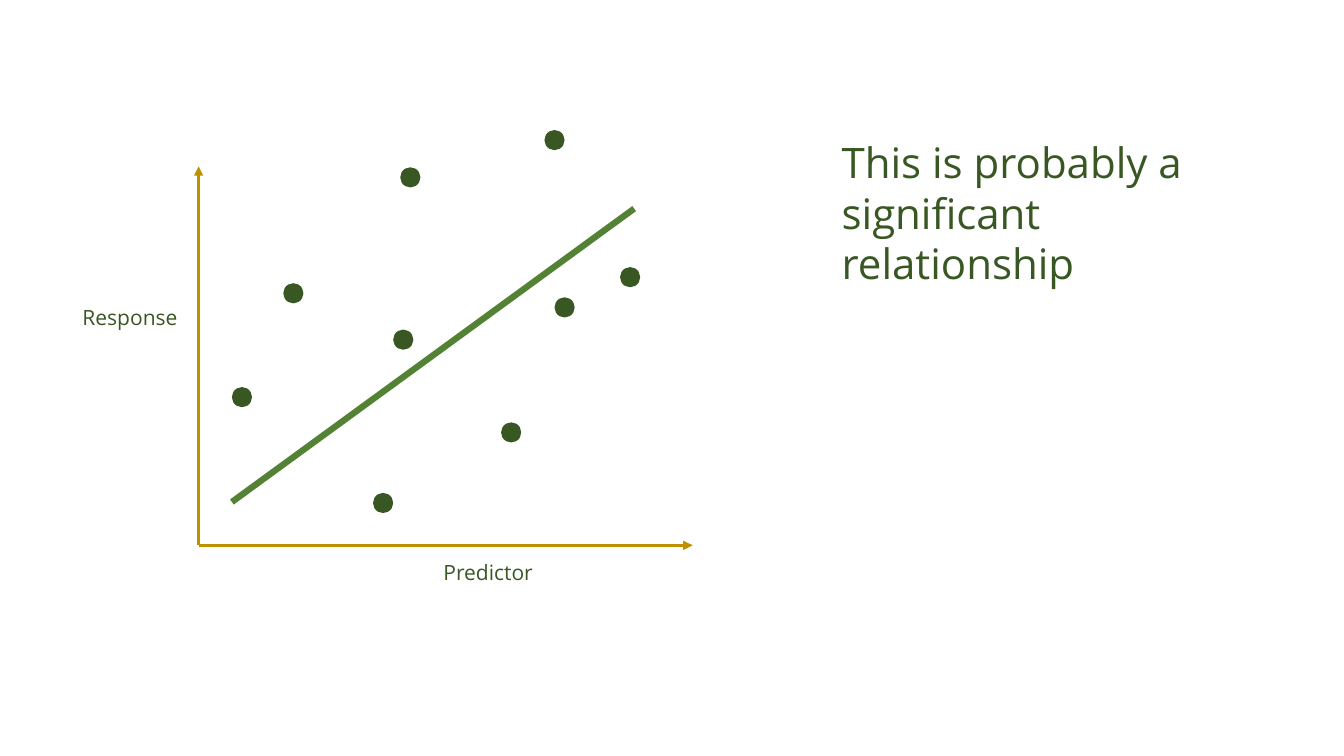
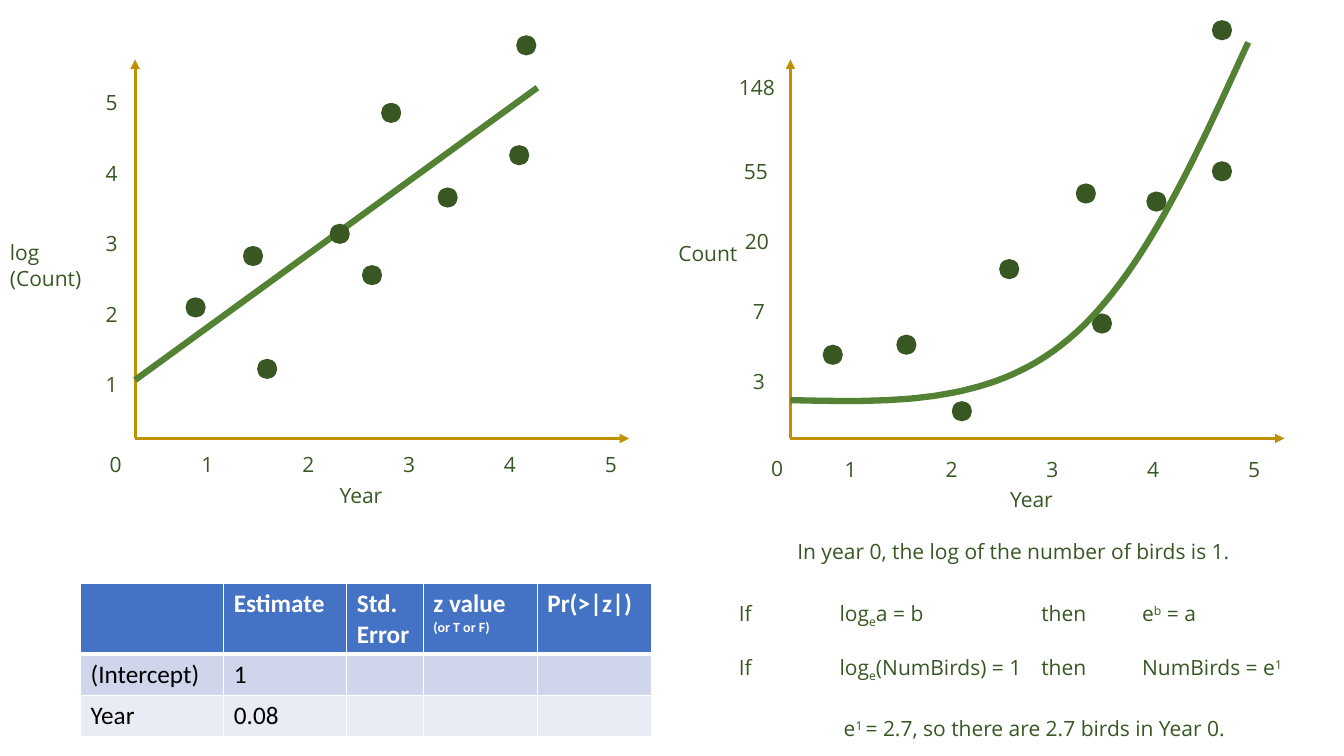
"""Build two slides on regression lines, log counts and coefficients."""
from pptx import Presentation
from pptx.dml.color import RGBColor
from pptx.enum.shapes import MSO_CONNECTOR as Link, MSO_SHAPE as Shape
from pptx.oxml.ns import qn
from pptx.util import Inches, Pt
from lxml.etree import SubElement as Sub

GREEN, LEAF, GOLD = "385723", "548235", "BF9000"
BLUE, WHITE, BLACK = "4472C4", "FFFFFF", "000000"
BANDS = ("CFD5EA", "E9EBF5")
DOT = 0.2
STEP = 0.7
GRAIN = 1000
SUB, SUP = -25, 30
BODY = {"name": "Open Sans", "size": Pt(15)}
LEAD = {"name": "Open Sans", "size": Pt(30)}
HEAD = {"name": "Calibri", "size": Pt(18), "bold": True}
CELL = {"name": "Calibri", "size": Pt(18), "bold": False}
NOTE = {"name": "Calibri", "size": Pt(10), "bold": True}


def color(value):
    """Turn a hex string into a colour."""
    return RGBColor.from_string(value)


def style(item, values):
    """Set each attribute named in a dict."""
    for key, value in values.items():
        setattr(item, key, value)


def paint(item, value):
    """Give a shape or cell a solid fill."""
    item.fill.solid()
    item.fill.fore_color.rgb = color(value)


def run(para, words, look, hue, base=0):
    """Add a run of text, raised or lowered by base percent."""
    part = para.add_run()
    part.text = words
    style(part.font, look)
    part.font.color.rgb = color(hue)
    if base:
        part._r.get_or_add_rPr().set("baseline", str(base * 1000))


def text(slide, left, top, width, height, *lines, look=BODY, gap=0, tabs=()):
    """Add a text box; each line is a string or a list of runs."""
    box = slide.shapes.add_textbox(*map(Inches, (left, top, width, height)))
    frame = box.text_frame
    frame.word_wrap = True
    for i, line in enumerate(lines):
        para = frame.add_paragraph() if i else frame.paragraphs[0]
        if i and gap:
            para.space_before = Pt(gap)
        if tabs:
            stops = Sub(para._p.get_or_add_pPr(), qn("a:tabLst"))
            for stop in tabs:
                Sub(stops, qn("a:tab"), pos=str(Inches(stop)), algn="l")
        for part in [(line,)] if isinstance(line, str) else line:
            run(para, part[0], look, GREEN, *part[1:])


def label(slide, left, top, words, width=1.26):
    """Add a one-line label."""
    text(slide, left, top, width, 0.35, words)


def line(slide, start, end, hue, weight, arrow=False):
    """Draw a straight line, with an arrowhead if asked."""
    link = slide.shapes.add_connector(
        Link.STRAIGHT, *map(Inches, (*start, *end)))
    link.line.color.rgb = color(hue)
    link.line.width = Pt(weight)
    if arrow:
        Sub(link.line._get_or_add_ln(), qn("a:tailEnd"), type="triangle")
    Sub(link._element.spPr, qn("a:effectLst"))


def axes(slide, left, base):
    """Draw the two arrows of a plot from its corner."""
    for end in ((left + 4.9, base), (left, base - 3.76)):
        line(slide, (left, base), end, GOLD, 2.25, True)


def trend(slide, start, end):
    """Draw a fitted straight line."""
    line(slide, start, end, LEAF, 4.5)


def dots(slide, spots):
    """Draw a data dot at each left and top."""
    for left, top in spots:
        dot = slide.shapes.add_shape(
            Shape.OVAL, *map(Inches, (left, top, DOT, DOT)))
        dot.shadow.inherit = False
        paint(dot, GREEN)
        dot.line.fill.background()


def bezier(knots, count=30):
    """List points along a cubic curve, in fine units of an inch."""
    points = []
    for i in range(count + 1):
        t = i / count
        parts = ((1 - t) ** 3, 3 * t * (1 - t) ** 2,
                 3 * t * t * (1 - t), t ** 3)
        points.append([GRAIN * sum(w * k[axis] for w, k in zip(parts, knots))
                       for axis in (0, 1)])
    return points


def curve(slide, knots):
    """Draw a fitted curve through joined cubic parts."""
    points = []
    for i in range(0, len(knots) - 1, 3):
        points += bezier(knots[i:i + 4])[bool(i):]
    pen = slide.shapes.build_freeform(*points[0], scale=Inches(1) / GRAIN)
    pen.add_line_segments(points[1:], close=False)
    bend = pen.convert_to_shape()
    bend.shadow.inherit = False
    bend.fill.background()
    bend.line.color.rgb = color(LEAF)
    bend.line.width = Pt(4.5)


def years(slide, left, top):
    """Add the year ticks, one inch apart."""
    text(slide, left, top, 5.33, 0.35, "\t".join("12345"), tabs=(1, 2, 3, 4))


def rule(cell):
    """Draw a thick white border below a cell."""
    props = cell._tc.get_or_add_tcPr()
    edge = Sub(props, qn("a:lnB"), w=str(Pt(3)))
    Sub(Sub(edge, qn("a:solidFill")), qn("a:srgbClr"), val=WHITE)
    props.insert(0, edge)


def table(slide, left, top, cols, tall, rows):
    """Add the table of coefficients with a banded body."""
    grid = slide.shapes.add_table(
        len(rows), len(cols), Inches(left), Inches(top),
        Inches(sum(cols)), Inches(sum(tall))).table
    for col, width in zip(grid.columns, cols):
        col.width = Inches(width)
    for i, row in enumerate(rows):
        grid.rows[i].height = Inches(tall[i])
        look, hue = (CELL, BLACK) if i else (HEAD, WHITE)
        for j, words in enumerate(row):
            cell = grid.cell(i, j)
            paint(cell, BANDS[(i - 1) % 2] if i else BLUE)
            if not i:
                rule(cell)
            if words:
                run(cell.text_frame.paragraphs[0], words, look, hue)
    run(grid.cell(0, 3).text_frame.paragraphs[0], "(or T or F)", NOTE, WHITE)


def relate(slide):
    """Fill the slide on a significant relationship."""
    axes(slide, 1.97, 5.41)
    label(slide, 4.3, 5.5, "Predictor")
    label(slide, 0.72, 2.97, "Response")
    trend(slide, (2.3, 4.98), (6.29, 2.07))
    dots(slide, [(2.3, 3.84), (2.81, 2.81), (3.7, 4.89), (3.97, 1.66),
                 (3.9, 3.27), (5.5, 2.95), (4.97, 4.19), (5.4, 1.29),
                 (6.15, 2.65)])
    text(slide, 8.25, 1.31, 4.2, 1.62,
         "This is probably a significant relationship", look=LEAD)


def logs(slide):
    """Draw the plot of log counts."""
    axes(slide, 1.34, 4.35)
    label(slide, 3.27, 4.74, "Year")
    text(slide, 0, 2.33, 1.26, 0.61, "log", "(Count)")
    trend(slide, (1.34, 3.77), (5.33, 0.87))
    dots(slide, [(2.55, 3.56), (3.78, 1.02), (3.27, 2.22), (4.34, 1.86),
                 (3.59, 2.63), (5.12, 0.35), (5.05, 1.44), (1.84, 2.95),
                 (2.41, 2.44)])
    label(slide, 0.99, 4.43, "0")
    for i in range(5):
        label(slide, 0.95, 3.64 - i * STEP, str(i + 1))
    years(slide, 1.9, 4.43)


def counts(slide):
    """Draw the plot of raw counts."""
    axes(slide, 7.84, 4.35)
    label(slide, 9.92, 4.78, "Year")
    label(slide, 6.63, 2.34, "Count")
    dots(slide, [(8.16, 3.42), (8.89, 3.32), (9.44, 3.98), (10.67, 1.82),
                 (9.91, 2.57), (11.37, 1.9), (10.83, 3.11), (12.02, 0.2),
                 (12.02, 1.6)])
    curve(slide, [(7.84, 3.97), (8.81, 3.99), (9.77, 4.02), (10.53, 3.42),
                  (11.29, 2.83), (11.83, 1.62), (12.38, 0.42)])
    label(slide, 7.55, 4.47, "0")
    for left, top, words in ((7.37, 3.61, "3"), (7.37, 2.91, "7"),
                             (7.29, 2.22, "20"), (7.28, 1.52, "55"),
                             (7.23, 0.69, "148")):
        label(slide, left, top, words)
    years(slide, 8.28, 4.48)


def explain(slide):
    """Add the coefficients and the steps from log to count."""
    table(slide, 0.8, 5.79, (1.42, 1.22, 0.76, 1.13, 1.13),
          (0.69, 0.41, 0.41),
          (("", "Estimate", "Std. Error", "z value ", "Pr(>|z|)"),
           ("(Intercept)", "1", "", "", ""),
           ("Year", "0.08", "", "", "")))
    label(slide, 7.81, 5.29,
          "In year 0, the log of the number of birds is 1.", 4.93)
    label(slide, 8.27, 7.05,
          [("e",), ("1 ", SUP), ("= 2.7, so there are 2.7 birds in Year 0.",)],
          4.93)
    text(slide, 7.23, 5.91, 5.91, 1.11,
         [("If \tlog",), ("e", SUB), ("a = b \tthen \te",), ("b", SUP),
          (" = a",)],
         [("If \tlog",), ("e", SUB),
          ("(NumBirds) = 1\tthen \tNumBirds = e",), ("1", SUP)],
         gap=18, tabs=(1, 3, 4))


def main():
    """Build and save the slides."""
    deck = Presentation()
    style(deck, {"slide_width": Inches(13.33), "slide_height": Inches(7.5)})
    for parts in ((relate,), (logs, counts, explain)):
        slide = deck.slides.add_slide(deck.slide_layouts[6])
        for part in parts:
            part(slide)
    deck.save("out.pptx")


if __name__ == "__main__":
    main()
